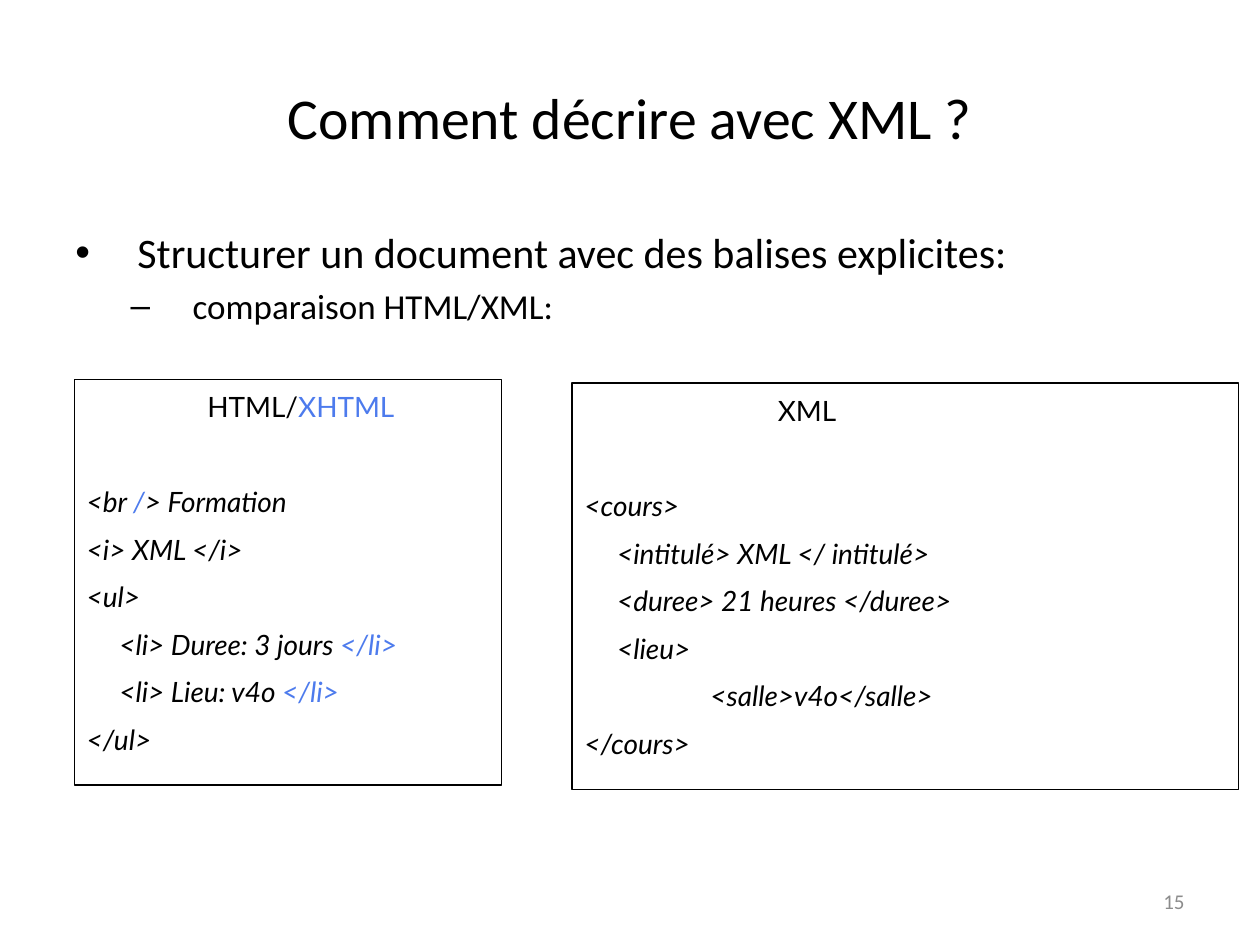
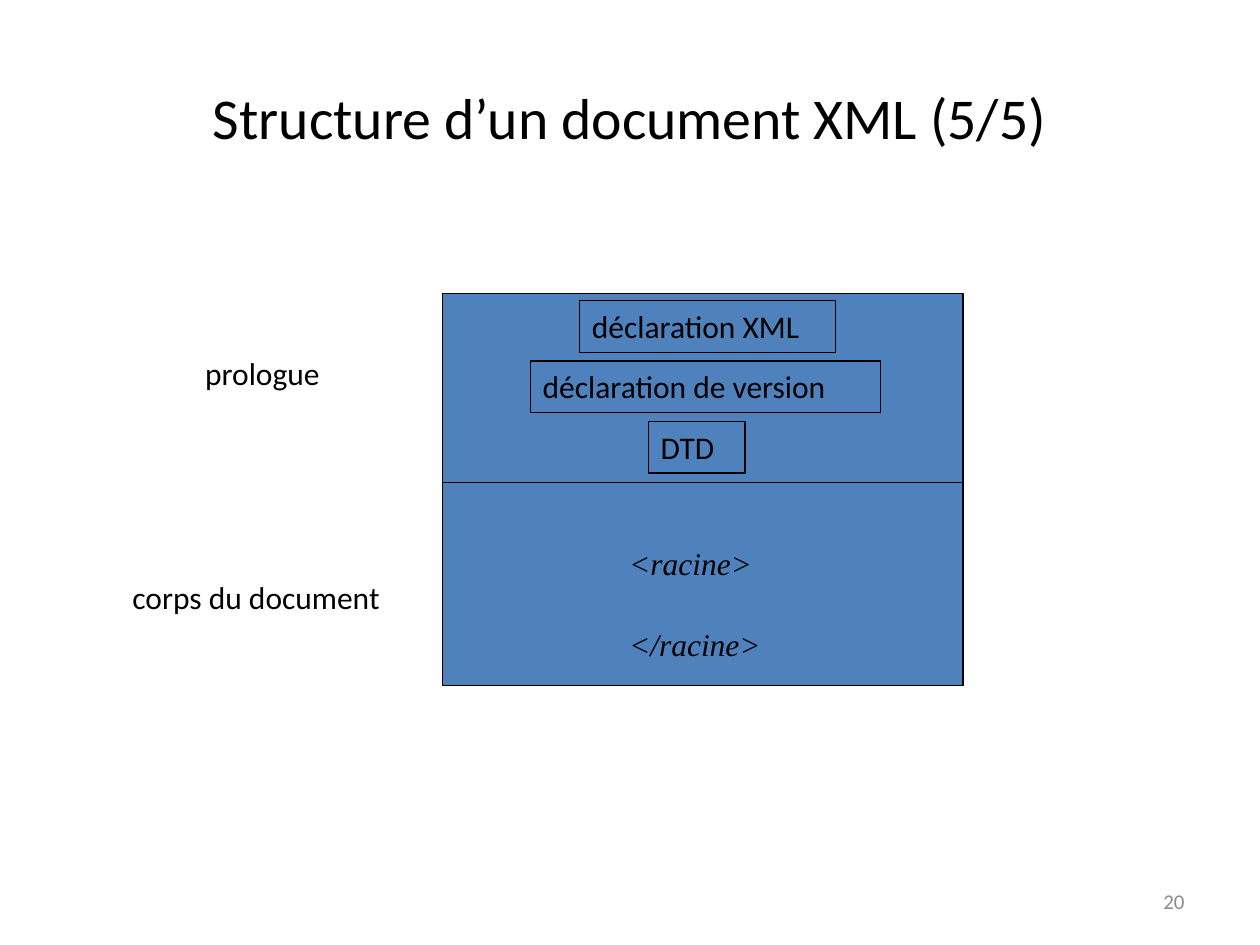
import pptx
import pptx.dml.color
import pptx.enum.shapes
import pptx.enum.text
import pptx.util
from lxml import etree
from pptx.oxml.ns import qn

Pt = pptx.util.Pt
ALIGN = pptx.enum.text.PP_ALIGN
ANCHOR = pptx.enum.text.MSO_ANCHOR


# Colours, fonts and type sizes
class Theme:
    ink = "000000"
    mark = "4D7BED"
    fill = "4F81BD"
    mute = "8C8C8C"
    main = "Calibri"
    code = "Lato"
    serif = "Times New Roman"
    title = 33
    lead = 24
    sub = 20
    label = 18
    small = 16
    foot = 12
    rule = 0.75


def tint(code):
    return pptx.dml.color.RGBColor.from_string(code)


def apply(item, values):
    for name, value in values.items():
        setattr(item, name, value)


# Text: a line is a dict with runs [(text, colour)] and its format
def line(text, size, face=Theme.main, ink=Theme.ink, italic=False, **more):
    runs = [(text, ink)] if isinstance(text, str) else text
    font = dict(name=face, size=Pt(size), italic=italic)
    return dict(runs=runs, font=font, **more)


def indent(para, left, hang=0, mark=None):
    props = para._p.get_or_add_pPr()
    props.set("marL", str(Pt(left)))
    props.set("indent", str(-Pt(hang)))
    if mark:
        etree.SubElement(props, qn("a:buFont")).set("typeface", "Arial")
        etree.SubElement(props, qn("a:buChar")).set("char", mark)


def write(shape, lines, anchor=ANCHOR.TOP, top=3.6):
    frame = shape.text_frame
    apply(frame, dict(word_wrap=True, vertical_anchor=anchor,
                      margin_left=Pt(7.2), margin_right=Pt(7.2),
                      margin_top=Pt(top), margin_bottom=Pt(3.6)))
    for i, item in enumerate(lines):
        para = frame.add_paragraph() if i else frame.paragraphs[0]
        if "indent" in item:
            indent(para, *item["indent"])
        apply(para, dict(alignment=item.get("align", ALIGN.LEFT),
                         level=item.get("level", 0)))
        if i:
            para.space_before = Pt(item.get("gap", 0))
        for text, ink in item["runs"]:
            run = para.add_run()
            run.text = text
            apply(run.font, item["font"])
            run.font.color.rgb = tint(ink)


# Kinds of element
def label(slide, area, lines, anchor=ANCHOR.TOP):
    write(slide.shapes.add_textbox(*map(Pt, area)), lines, anchor)


def box(slide, area, lines=(), fill=None, top=3.6):
    kind = pptx.enum.shapes.MSO_SHAPE.RECTANGLE
    shape = slide.shapes.add_shape(kind, *map(Pt, area))
    shape.shadow.inherit = False
    if fill:
        shape.fill.solid()
        shape.fill.fore_color.rgb = tint(fill)
    else:
        shape.fill.background()
    shape.line.color.rgb = tint(Theme.ink)
    shape.line.width = Pt(Theme.rule)
    write(shape, lines, top=top)


def rule(slide, left, right, y):
    kind = pptx.enum.shapes.MSO_CONNECTOR.STRAIGHT
    link = slide.shapes.add_connector(kind, Pt(left), Pt(y), Pt(right), Pt(y))
    link.line.color.rgb = tint(Theme.ink)
    link.line.width = Pt(Theme.rule)
    etree.SubElement(link._element.spPr, qn("a:effectLst"))


def code(slide, area, head, shift, rows):
    lines = [line(head, Theme.small, Theme.code, indent=(shift,))]
    for i, row in enumerate(rows):
        lines.append(line(row, Theme.small, Theme.code, italic=True,
                          gap=8 if i else 35.2))
    box(slide, area, lines, top=5.9)


def page(deck, title, number):
    slide = deck.slides.add_slide(deck.slide_layouts[6])
    label(slide, (36, 21.6, 648, 90),
          [line(title, Theme.title, align=ALIGN.CENTER)], ANCHOR.MIDDLE)
    label(slide, (516, 500.4, 168, 28.8),
          [line(number, Theme.foot, ink=Theme.mute, align=ALIGN.RIGHT)],
          ANCHOR.MIDDLE)
    return slide


# Slide: HTML beside XML
def compare(deck):
    slide = page(deck, "Comment décrire avec XML ?", "15")
    label(slide, (36, 126, 648, 80), [
        line("Structurer un document avec des balises explicites:",
             Theme.lead, indent=(35.5, 35.5, "•")),
        line("comparaison HTML/XML:", Theme.sub, level=1, gap=4,
             indent=(67, 35.5, "–"))])
    ink, mark = Theme.ink, Theme.mark
    code(slide, (42.5, 216.7, 244, 232),
         [("HTML/", ink), ("XHTML", mark)], 69, [
             [("<br ", ink), ("/", mark), ("> Formation", ink)],
             "<i> XML </i>",
             "<ul>",
             [("     <li> Duree: 3 jours ", ink), ("</li>", mark)],
             [("     <li> Lieu: v4o ", ink), ("</li>", mark)],
             "</ul>"])
    code(slide, (326.9, 218.9, 381, 232.5), "XML", 110.5, [
        "<cours>",
        "     <intitulé> XML </ intitulé>",
        "     <duree> 21 heures </duree>",
        "     <lieu>",
        "\t\t<salle>v4o</salle>",
        "</cours>"])


# Slide: parts of a document
def parts(deck):
    slide = page(deck, "Structure d’un document XML (5/5)", "20")
    box(slide, (252.9, 167.8, 297.4, 224), fill=Theme.fill)
    rule(slide, 253, 550.3, 275.6)
    for text, left, top, width in (("prologue", 110.2, 198.9, 130),
                                   ("corps du document", 68.6, 326.9, 180)):
        label(slide, (left, top, width, 28.8), [line(text, Theme.label)])
    heads = (("déclaration XML", 331.2, 146.2),
             ("déclaration de version", 303, 200.2),
             ("DTD", 370.4, 55.4))
    for i, (text, left, width) in enumerate(heads):
        box(slide, (left, 171.8 + 34.5 * i, width, 29.6),
            [line(text, Theme.label)])
    label(slide, (352.4, 307.5, 137.5, 77.8), [
        line(text, Theme.label, Theme.serif, italic=True, gap=24.6)
        for text in ("<racine>", "</racine>")])


def main():
    deck = pptx.Presentation()
    apply(deck, dict(slide_width=Pt(720), slide_height=Pt(540)))
    compare(deck)
    parts(deck)
    deck.save("out.pptx")


if __name__ == "__main__":
    main()
